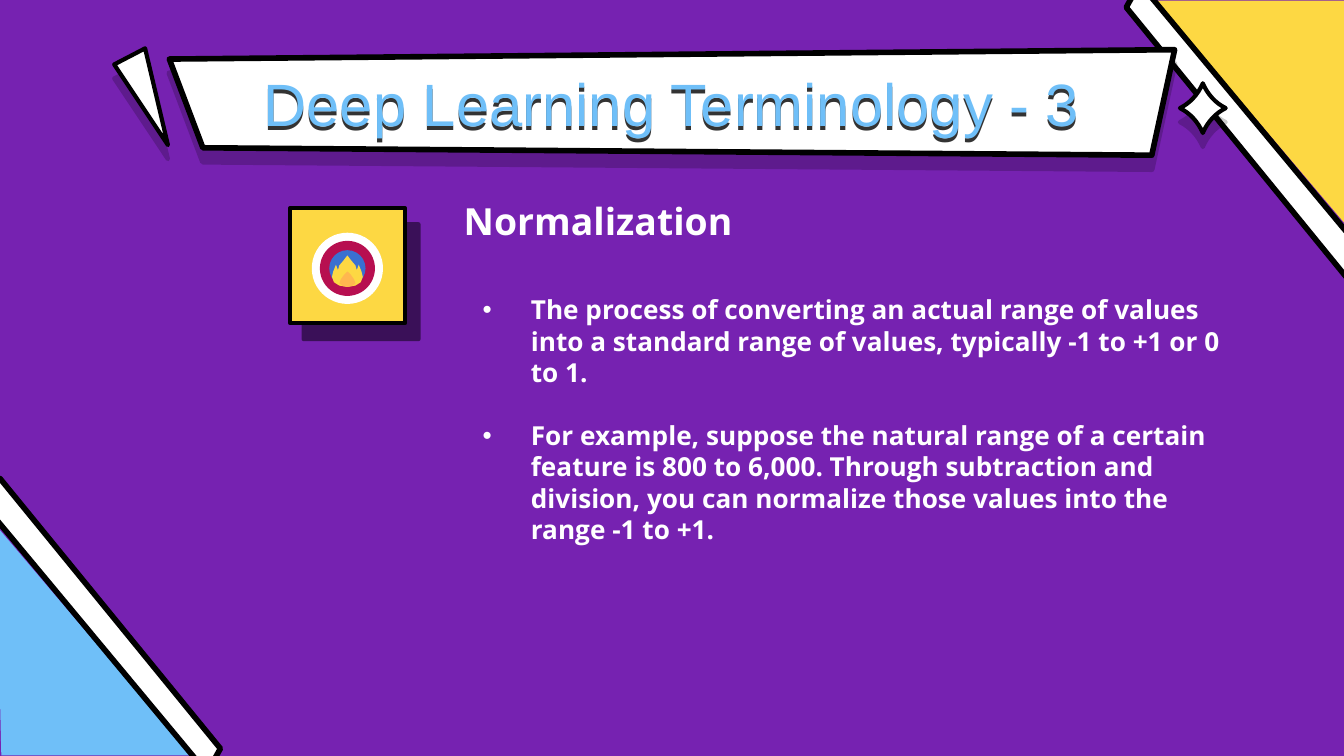
from lxml.etree import SubElement
from pptx import Presentation
from pptx.dml.color import RGBColor
from pptx.enum.shapes import MSO_SHAPE as Shape
from pptx.enum.text import MSO_ANCHOR as Anchor, MSO_AUTO_SIZE as AutoSize, PP_ALIGN as Align
from pptx.oxml.ns import qn
from pptx.util import Inches, Pt

CELL = Inches(0.1)  # grid of 100 columns by 56.25 rows
COLUMNS, ROWS = 100, 56.25

PURPLE = RGBColor(0x76, 0x22, 0xB1)
YELLOW = RGBColor(0xFD, 0xD8, 0x43)
BLUE = RGBColor(0x6F, 0xBF, 0xF8)
WHITE = RGBColor(0xFF, 0xFF, 0xFF)
BLACK = RGBColor(0, 0, 0)
CHARCOAL = RGBColor(0x33, 0x33, 0x33)
CRIMSON = RGBColor(0xB7, 0x0F, 0x50)
ROYAL = RGBColor(0x3A, 0x70, 0xD1)
ORANGE = RGBColor(0xFF, 0xB7, 0x4F)

CORNER = [(0.1, 56.2), (14.2, 56.2), (-0.3, 39.1)]
BAND = [(16.4, 55.7), (0, 35.6), (-1.4, 37.3), (15.4, 57.5)]
BANNER = [(15.1, 11), (12.6, 4.4), (87.4, 3.7), (85.7, 11.55)]
SHARD = [(8.5, 4.8), (10.8, 3.6), (12.5, 10.8)]

EMBLEM = (25.85, 19.97)
RINGS = [(2.65, WHITE), (2.05, CRIMSON), (1.35, ROYAL)]
# Left halves of the flames: distance from the middle column, row
FLAME = [(0, 19), (0.3, 19.4), (0.6, 19.75), (0.7, 20.1), (0.85, 19.7), (1.05, 20.2),
         (1.15, 20.6), (1, 21), (0.6, 21.25), (0, 21.35)]
EMBER = [(0, 20.2), (0.25, 20.45), (0.5, 20.8), (0.6, 21.1), (0.3, 21.3), (0, 21.35)]

POINTS = [
    "The process of converting an actual range of values into a standard range of values, "
    "typically -1 to +1 or 0 to 1.",
    "For example, suppose the natural range of a certain feature is 800 to 6,000. Through "
    "subtraction and division, you can normalize those values into the range -1 to +1.",
]


def cells(*counts):
    return [round(count * CELL) for count in counts]


def opposite(points):
    """Turn points half way round the middle of the slide."""
    return [(COLUMNS + 0.2 - x, ROWS - y) for x, y in points]


def mirrored(half, middle):
    left = [(middle - x, y) for x, y in half]
    right = [(middle + x, y) for x, y in half[-2:0:-1]]
    return left + right


def sparkle(x, y, half_width, half_height, pull=0.18, steps=8):
    """Four tips joined by curves that are pulled towards the centre."""
    tips = [(0, -half_height), (-half_width, 0), (0, half_height), (half_width, 0)]
    points = []
    for (ax, ay), (bx, by) in zip(tips, tips[1:] + tips[:1]):
        cx, cy = (ax + bx) * (0.5 - pull), (ay + by) * (0.5 - pull)
        for t in (step / steps for step in range(steps)):
            a, c, b = (1 - t) ** 2, 2 * t * (1 - t), t * t
            points.append((x + a * ax + c * cx + b * bx, y + a * ay + c * cy + b * by))
    return points


class Deck:
    """The style of the deck and its current slide."""

    def __init__(self, layout=3):
        self.presentation = Presentation()
        self.presentation.slide_width, self.presentation.slide_height = cells(COLUMNS, ROWS)
        self.slide = self.presentation.slides.add_slide(self.presentation.slide_layouts[layout])
        self.slide.background.fill.solid()
        self.slide.background.fill.fore_color.rgb = PURPLE

    def paint(self, shape, fill, outline):
        shape.shadow.inherit = False
        shape.fill.solid()
        shape.fill.fore_color.rgb = fill
        if not outline:
            shape.line.fill.background()
            return
        shape.line.color.rgb = BLACK
        shape.line.width = Pt(outline)
        SubElement(shape.element.spPr.find(qn("a:ln")), qn("a:round"))

    def cast_shadow(self, shape, color, opacity, distance, angle=90):
        shape.shadow.inherit = False
        effects = shape.element.spPr.find(qn("a:effectLst"))
        shadow = SubElement(effects, qn("a:outerShdw"), blurRad="0", dist=str(Pt(distance)),
                            dir=str(angle * 60000), algn="bl", rotWithShape="0")
        tint = SubElement(shadow, qn("a:srgbClr"), val=str(color))
        SubElement(tint, qn("a:alpha"), val=str(opacity * 1000))

    def outline(self, points, fill, outline=0):
        start, *rest = [cells(*point) for point in points]
        builder = self.slide.shapes.build_freeform(*start)
        builder.add_line_segments(rest, close=True)
        shape = builder.convert_to_shape()
        self.paint(shape, fill, outline)
        return shape

    def preset(self, kind, box, fill, outline=0):
        shape = self.slide.shapes.add_shape(kind, *cells(*box))
        self.paint(shape, fill, outline)
        return shape

    def text(self, index, box, lines, size, color, font, bold=True, align=Align.LEFT,
             bullet=False, gap=0):
        """Fill a placeholder, and bring it in front of what is drawn so far."""
        holder = self.slide.placeholders[index]
        holder.element.getparent().append(holder.element)
        holder.left, holder.top, holder.width, holder.height = cells(*box)
        frame = holder.text_frame
        frame.text = "\n".join(lines)
        frame.word_wrap = True
        frame.auto_size = AutoSize.NONE
        frame.vertical_anchor = Anchor.MIDDLE
        frame.margin_left = frame.margin_right = frame.margin_top = frame.margin_bottom = CELL
        for number, paragraph in enumerate(frame.paragraphs):
            paragraph.alignment = align
            paragraph.line_spacing = 1.0
            paragraph.space_before = Pt(gap if number else 0)
            paragraph.space_after = Pt(0)
            paragraph.font.size = Pt(size)
            paragraph.font.name = font
            paragraph.font.bold = bold
            paragraph.font.color.rgb = color
            self.mark(paragraph, bullet)
        return holder

    def mark(self, paragraph, bullet):
        """Set the indent and the bullet, ahead of the default run properties."""
        properties = paragraph._p.get_or_add_pPr()
        properties.set("marL", str(Inches(0.5) if bullet else 0))
        properties.set("indent", str(Inches(-0.36) if bullet else 0))
        defaults = properties.find(qn("a:defRPr"))
        if bullet:
            tint = SubElement(properties, qn("a:buClr"))
            SubElement(tint, qn("a:srgbClr"), val=str(WHITE))
            SubElement(properties, qn("a:buFont"), typeface="Arial")
            SubElement(properties, qn("a:buChar"), char="•")
        else:
            SubElement(properties, qn("a:buNone"))
        properties.append(defaults)


def main():
    deck = Deck()
    deck.outline(opposite(CORNER), YELLOW)
    deck.outline(opposite(BAND), WHITE, 3)
    ornaments = [(BANNER, 3), (SHARD, 2.25), (sparkle(89.5, 8.05, 1.7, 1.85), 2.25)]
    for points, width in ornaments:
        deck.cast_shadow(deck.outline(points, WHITE, width), BLACK, 20, 7.5)
    deck.outline(CORNER, BLUE)
    deck.outline(BAND, WHITE, 3)

    title = deck.text(0, (7.8, 6.15, 84.4, 3), ["Deep Learning Terminology - 3"], 32, BLUE,
                      "Arial", bold=False, align=Align.CENTER)
    deck.cast_shadow(title, CHARCOAL, 100, 2)
    deck.text(1, (33.5, 15.1, 47.2, 2.6), ["Normalization"], 20, WHITE, "Open Sans")

    tile = deck.preset(Shape.RECTANGLE, (21.6, 15.5, 8.55, 8.55), YELLOW, 2.25)
    deck.cast_shadow(tile, BLACK, 50, 11.2, 50)
    middle, centre = EMBLEM
    for radius, color in RINGS:
        box = (middle - radius, centre - radius, 2 * radius, 2 * radius)
        deck.preset(Shape.OVAL, box, color)
    for half, color in [(FLAME, YELLOW), (EMBER, ORANGE)]:
        deck.outline(mirrored(half, middle), color)

    deck.text(2, (33.5, 28.2, 58.9, 6), POINTS, 14, WHITE, "Open Sans", bullet=True, gap=16.8)
    deck.presentation.save("out.pptx")


if __name__ == "__main__":
    main()
